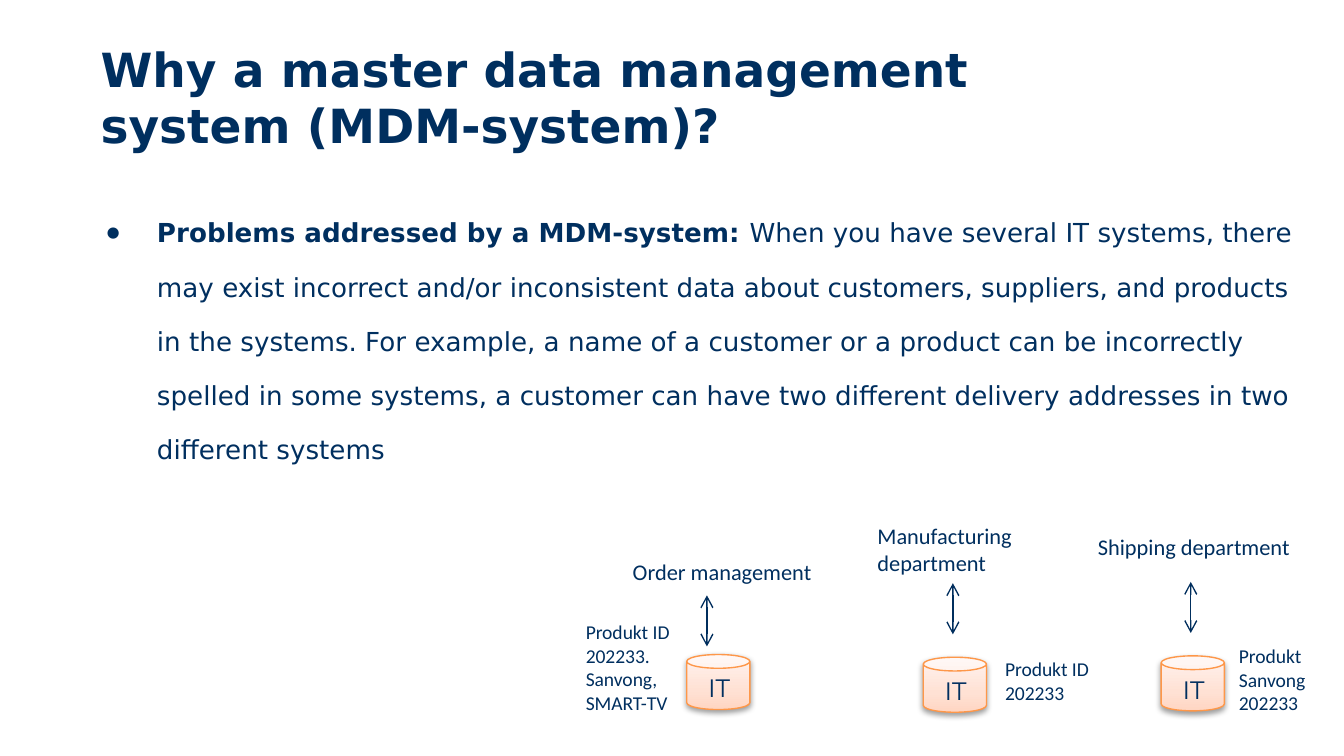
from dataclasses import dataclass

from lxml.etree import SubElement
from pptx import Presentation
from pptx.dml.color import RGBColor as Color
from pptx.enum.shapes import MSO_CONNECTOR as Connector, MSO_SHAPE as Preset
from pptx.enum.text import PP_ALIGN as Align
from pptx.oxml.ns import qn
from pptx.slide import Slide
from pptx.text.text import TextFrame
from pptx.util import Inches, Length, Pt

SLIDE_WIDTH = Inches(10)
SLIDE_HEIGHT = Length(SLIDE_WIDTH * 9 // 16)
UNIT = SLIDE_WIDTH / 100
COLORS = {
    "text": "002F5F",
    "arrow": "002E5D",
    "can_line": "FE9749",
    "can_dark": "FFD5C2",
    "can_middle": "FFE1D4",
    "can_light": "FFF3EF",
    "shadow": "000000",
}
FORMATS = {
    "title": {"name": "DejaVu Sans", "size": Pt(25.2), "bold": True},
    "lead": {"name": "DejaVu Sans", "size": Pt(14), "bold": True},
    "body": {"name": "DejaVu Sans", "size": Pt(14), "bold": False},
    "label": {"name": "Calibri", "size": Pt(12)},
    "note": {"name": "Calibri", "size": Pt(10.5)},
    "system": {"name": "Montserrat", "size": Pt(13.5)},
}
GRADIENT = {"can_dark": 0, "can_middle": 35000, "can_light": 100000}


@dataclass(frozen=True)
class Box:
    """A rectangle in grid columns and rows."""

    column: float
    row: float
    columns: float
    rows: float

    def lengths(self) -> list[Length]:
        """Return left, top, width and height on the slide."""
        return [cells(value) for value in (self.column, self.row, self.columns, self.rows)]


@dataclass(frozen=True)
class Department:
    """A department, the system it uses and the data held there."""

    label: str
    label_box: Box
    note: str
    note_box: Box
    can_column: float
    can_row: float
    arrow_column: float
    arrow_row: float


DEPARTMENTS = [
    Department("Order management", Box(46.1, 41.05, 19, 3),
               "Produkt ID 202233. Sanvong, SMART-TV", Box(42.6, 45.65, 11.2, 8.1),
               51.1, 48.7, 52.6, 44.3),
    Department("Manufacturing department", Box(64.3, 38.35, 16.9, 5),
               "Produkt ID 202233", Box(73.8, 48.4, 9.4, 4.5),
               68.7, 48.9, 70.9, 43.4),
    Department("Shipping department", Box(80.7, 39.2, 16.9, 3),
               "Produkt Sanvong 202233", Box(91.2, 47.45, 9.4, 6.3),
               86.4, 48.8, 88.6, 43.3),
]


def cells(count: float) -> Length:
    """Convert grid cells to a length."""
    return Length(round(count * UNIT))


def apply(target: object, values: dict) -> None:
    """Set each named attribute on the target."""
    for name, value in values.items():
        setattr(target, name, value)


def add_text(slide: Slide, box: Box, runs: list[tuple[str, str]]) -> TextFrame:
    """Add a wrapped text box made of (text, format name) runs."""
    frame = slide.shapes.add_textbox(*box.lengths()).text_frame
    frame.word_wrap = True
    for text, style in runs:
        run = frame.paragraphs[0].add_run()
        run.text = text
        apply(run.font, FORMATS[style])
        run.font.color.rgb = Color.from_string(COLORS["text"])
    return frame


def add_bullet(frame: TextFrame) -> None:
    """Give the first paragraph a hanging bullet and fixed line spacing."""
    paragraph = frame.paragraphs[0]
    properties = paragraph._p.get_or_add_pPr()
    properties.set("marL", str(cells(3.8)))
    properties.set("indent", str(-cells(3.8)))
    SubElement(properties, qn("a:buSzPct"), val="93000")
    SubElement(properties, qn("a:buFont"), typeface="Calibri")
    SubElement(properties, qn("a:buChar"), char="●")
    paragraph.line_spacing = Pt(29)


def add_can(slide: Slide, box: Box) -> None:
    """Add a database can with a gradient and a soft shadow."""
    can = slide.shapes.add_shape(Preset.CAN, *box.lengths())
    can.adjustments[0] = 0.25
    can.shadow.inherit = False
    can.fill.gradient()
    can.fill.gradient_angle = 90
    can.line.color.rgb = Color.from_string(COLORS["can_line"])
    can.line.width = Pt(0.75)
    properties = can._element.spPr
    stops = properties.find(qn("a:gradFill")).find(qn("a:gsLst"))
    stops[:] = []
    for name, position in GRADIENT.items():
        stop = SubElement(stops, qn("a:gs"), pos=str(position))
        SubElement(stop, qn("a:srgbClr"), val=COLORS[name])
    shadow = SubElement(properties.find(qn("a:effectLst")), qn("a:outerShdw"),
                        blurRad=str(Pt(3.1)), dist=str(Pt(1.6)),
                        dir="5400000", rotWithShape="0")
    color = SubElement(shadow, qn("a:srgbClr"), val=COLORS["shadow"])
    SubElement(color, qn("a:alpha"), val="38000")


def add_arrow(slide: Slide, column: float, row: float) -> None:
    """Add a vertical double-headed arrow."""
    arrow = slide.shapes.add_connector(Connector.STRAIGHT, cells(column), cells(row),
                                       cells(column), cells(row + 3.8))
    arrow.line.color.rgb = Color.from_string(COLORS["arrow"])
    arrow.line.width = Pt(0.75)
    for end in ("a:headEnd", "a:tailEnd"):
        SubElement(arrow.line._get_or_add_ln(), qn(end), type="arrow")
    SubElement(arrow._element.spPr, qn("a:effectLst"))


def add_department(slide: Slide, department: Department) -> None:
    """Draw a department with its arrow, system and data."""
    column, row = department.can_column, department.can_row
    add_can(slide, Box(column, row, 4.7, 4.1))
    system = add_text(slide, Box(column - 7.35, row + 0.65, 19.5, 3.7), [("IT", "system")])
    apply(system, {"margin_left": cells(1.4), "margin_right": cells(1.4),
                   "margin_top": cells(0.7), "margin_bottom": cells(0.7)})
    system.paragraphs[0].alignment = Align.CENTER
    add_text(slide, department.label_box, [(department.label, "label")])
    add_arrow(slide, department.arrow_column, department.arrow_row)
    add_text(slide, department.note_box, [(department.note, "note")])


def main() -> None:
    """Build and save the slide."""
    presentation = Presentation()
    apply(presentation, {"slide_width": SLIDE_WIDTH, "slide_height": SLIDE_HEIGHT})
    slide = presentation.slides.add_slide(presentation.slide_layouts[6])
    add_text(slide, Box(6.5, 2.5, 74.9, 6.5),
             [("Why a master data management system (MDM-system)?", "title")])
    body = add_text(slide, Box(6.9, 13.95, 90.6, 37.1), [
        ("Problems addressed by a MDM-system: ", "lead"),
        ("When you have several IT systems, there may exist incorrect and/or inconsistent "
         "data about customers, suppliers, and products in the systems. For example, a name "
         "of a customer or a product can be incorrectly spelled in some systems, a customer "
         "can have two different delivery addresses in two different systems", "body"),
    ])
    add_bullet(body)
    for department in DEPARTMENTS:
        add_department(slide, department)
    presentation.save("out.pptx")


if __name__ == "__main__":
    main()
